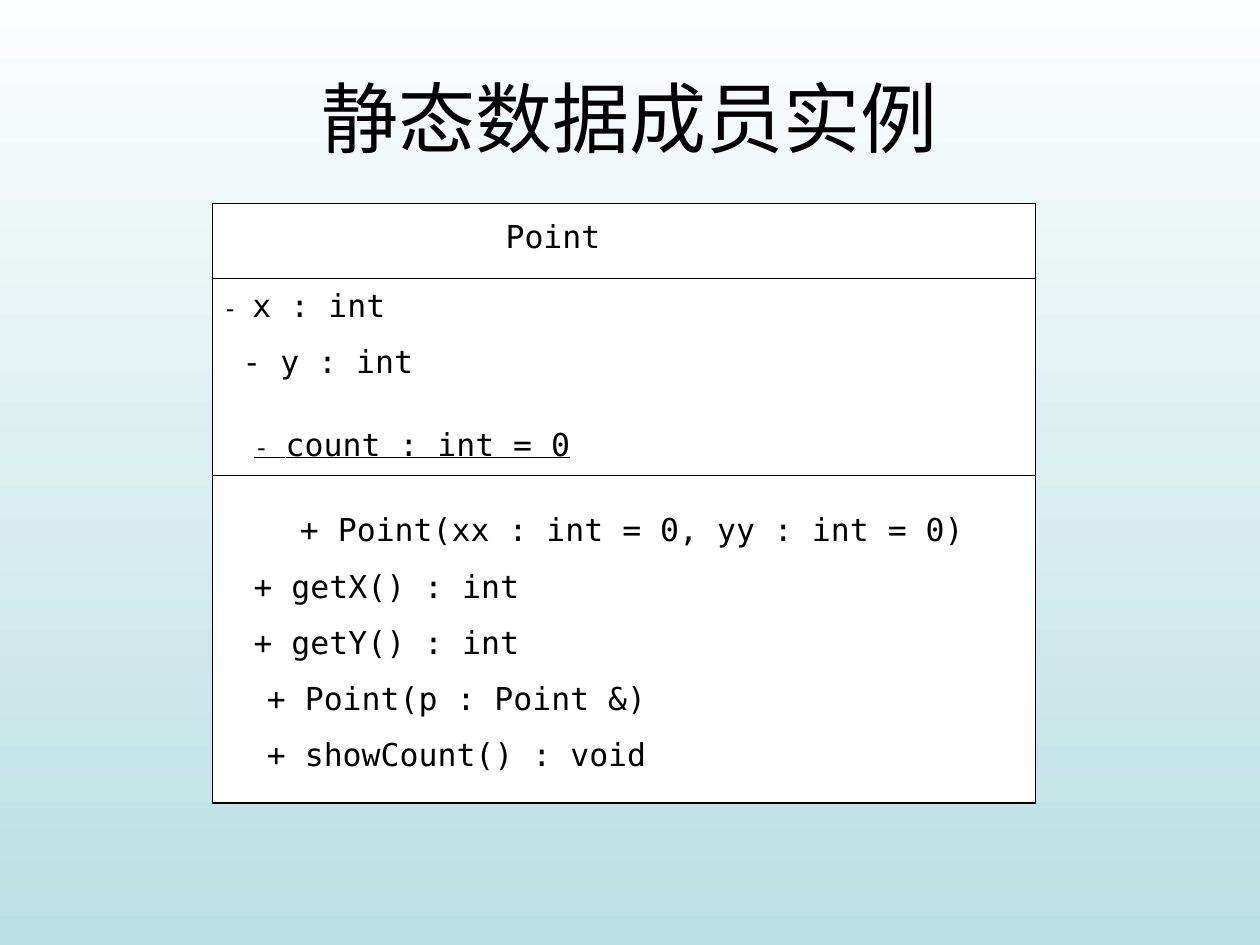
"""Draw a UML class box for a Point class with a static data member."""
from dataclasses import dataclass

from lxml import etree
from pptx import Presentation, util as u
from pptx.dml import color
from pptx.enum import shapes, text
from pptx.oxml import ns


@dataclass(frozen=True)
class Theme:
    ink: str = "000000"
    paper: str = "FFFFFF"
    top: str = "FCFDFE"
    base: str = "BBE0E3"
    mono: str = "DejaVu Sans Mono"
    sans: str = "Noto Sans CJK SC"
    title: float = 44
    body: float = 18
    space: float = 16
    mark: float = 14


@dataclass(frozen=True)
class Item:
    left: float
    top: float
    width: float
    runs: tuple
    under: bool = False
    wrap: bool = False


T = Theme()
LEFT, WIDTH, FOOT = 121.5, 470.4, 458.8
TOPS = (116.4, 159.1, 271.6)
HIGH = 21.6

ITEMS = (
    Item(288.9, 123.8, 55, (("Point", T.body),)),
    Item(127.4, 163.4, 109.4, (("- ", T.mark), ("x : int", T.body)), wrap=True),
    Item(138.5, 195.4, 98.5, (("- y : int", T.body),)),
    Item(145.2, 242.8, 181.5,
         (("-", T.mark), (" ", T.space), ("count : int = 0", T.body)), under=True),
    Item(171.4, 291.5, 380, (("+ Point(xx : int = 0, yy : int = 0)", T.body),)),
    Item(144.9, 323.8, 152.5, (("+ getX() : int", T.body),)),
    Item(144.9, 356, 152.5, (("+ getY() : int", T.body),)),
    Item(152.5, 388.1, 217.5, (("+ Point(p : Point &)", T.body),)),
    Item(152.5, 420.3, 217.5, (("+ showCount() : void", T.body),)),
)


def write(where, item: Item, *, high: float = HIGH, font: str = T.mono,
          tint: str = T.ink, mid: bool = False, grow: bool = True,
          align=text.PP_ALIGN.LEFT) -> None:
    """Add one line of text made of sized runs."""
    box = where.add_textbox(u.Pt(item.left), u.Pt(item.top), u.Pt(item.width), u.Pt(high))
    frame = box.text_frame
    frame.margin_left = frame.margin_right = u.Pt(0)
    frame.margin_top = frame.margin_bottom = u.Pt(0)
    frame.word_wrap = item.wrap
    frame.auto_size = (text.MSO_AUTO_SIZE.SHAPE_TO_FIT_TEXT if grow
                       else text.MSO_AUTO_SIZE.NONE)
    frame.vertical_anchor = text.MSO_ANCHOR.MIDDLE if mid else text.MSO_ANCHOR.TOP
    line = frame.paragraphs[0]
    line.alignment = align
    for words, size in item.runs:
        run = line.add_run()
        run.text = words
        run.font.size = u.Pt(size)
        run.font.name = font
        run.font.color.rgb = color.RGBColor.from_string(tint)
        if item.under:
            run.font.underline = True
        etree.SubElement(run._r.get_or_add_rPr(), ns.qn("a:ea")).set("typeface", font)


def frame_box(where, top: float, solid: bool) -> None:
    """Add an outlined box that reaches down to the foot of the class."""
    box = where.add_shape(shapes.MSO_SHAPE.RECTANGLE, u.Pt(LEFT), u.Pt(top),
                          u.Pt(WIDTH), u.Pt(FOOT - top))
    box.shadow.inherit = False
    if solid:
        box.fill.solid()
        box.fill.fore_color.rgb = color.RGBColor.from_string(T.paper)
    else:
        box.fill.background()
    box.line.color.rgb = color.RGBColor.from_string(T.ink)
    box.line.width = u.Pt(0)


def shade(slide) -> None:
    """Fill the slide with a gradient from top to base."""
    fill = slide.background.fill
    fill.gradient()
    fill.gradient_angle = 270
    for stop, place, tint in zip(fill.gradient_stops, (0, 1), (T.top, T.base)):
        stop.position = place
        stop.color.rgb = color.RGBColor.from_string(tint)


def main() -> None:
    """Build and save the slide."""
    deck = Presentation()
    deck.slide_width, deck.slide_height = u.Pt(720), u.Pt(540)
    slide = deck.slides.add_slide(deck.slide_layouts[6])
    shade(slide)
    title = Item(36, 21.6, 648, (("静态数据成员实例", T.title),), wrap=True)
    write(slide.shapes, title, high=90, font=T.sans, mid=True, grow=False,
          align=text.PP_ALIGN.CENTER)
    group = slide.shapes.add_group_shape().shapes
    for top in TOPS:
        frame_box(group, top, solid=top == TOPS[0])
    for item in ITEMS:
        write(group, item)
    deck.save("out.pptx")


if __name__ == "__main__":
    main()
